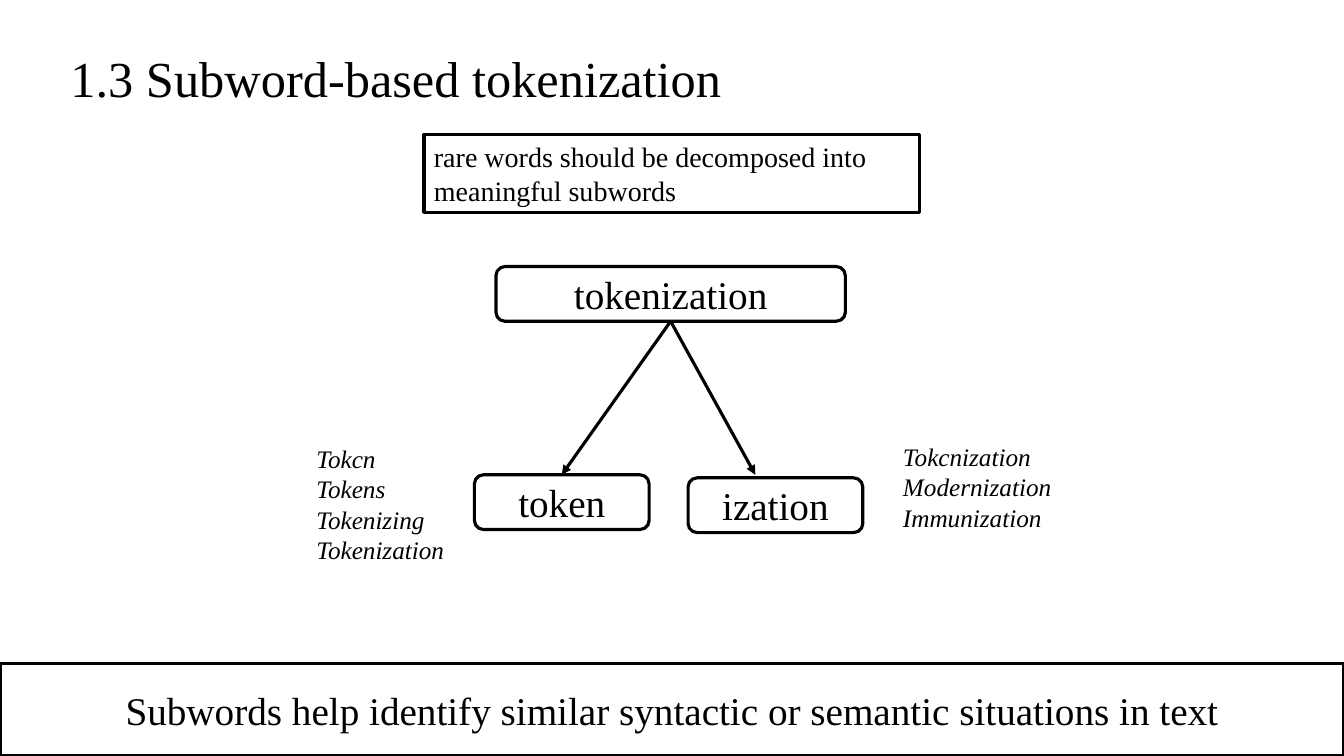
from lxml import etree
from pptx import Presentation
from pptx.dml.color import RGBColor
from pptx.enum.shapes import MSO_CONNECTOR, MSO_SHAPE
from pptx.enum.text import MSO_ANCHOR, MSO_AUTO_SIZE, PP_ALIGN
from pptx.oxml.ns import qn
from pptx.util import Inches, Pt

RECT = MSO_SHAPE.RECTANGLE
ROUNDED = MSO_SHAPE.ROUNDED_RECTANGLE
STRAIGHT = MSO_CONNECTOR.STRAIGHT
TOP, MIDDLE = MSO_ANCHOR.TOP, MSO_ANCHOR.MIDDLE
LEFT, CENTER = PP_ALIGN.LEFT, PP_ALIGN.CENTER
GROW = MSO_AUTO_SIZE.SHAPE_TO_FIT_TEXT

WIDTH, HEIGHT = Inches(13.33), Inches(7.5)
FONT = "Times New Roman"
BLACK = "000000"
LINE_WIDTH = Pt(2.25)
NODE_WIDTH, NODE_HEIGHT = 13, 7.25
TOKEN_TOP, IZATION_TOP = 62.8, 63.2


def color(value):
    return RGBColor.from_string(value)


def across(percent):
    return round(WIDTH * percent / 100)


def down(percent):
    return round(HEIGHT * percent / 100)


def place(x, y, w, h):
    return across(x), down(y), across(w), down(h)


def write(sp, lines, size, align=LEFT, anchor=TOP, italic=False):
    tf = sp.text_frame
    tf.word_wrap = True
    tf.vertical_anchor = anchor
    if anchor == TOP:
        tf.auto_size = GROW
    for i, line in enumerate(lines):
        p = tf.paragraphs[0] if i == 0 else tf.add_paragraph()
        p.alignment = align
        r = p.add_run()
        r.text = line
        r.font.name = FONT
        r.font.size = Pt(size)
        r.font.italic = italic
        r.font.color.rgb = color(BLACK)


def add_text(s, box, lines, size, italic=False):
    sp = s.shapes.add_textbox(*place(*box))
    write(sp, lines, size, italic=italic)


def add_box(s, kind, box, text, size=28, align=CENTER, anchor=MIDDLE):
    sp = s.shapes.add_shape(kind, *place(*box))
    sp.shadow.inherit = False
    sp.fill.background()
    sp.line.color.rgb = color(BLACK)
    sp.line.width = LINE_WIDTH
    write(sp, [text], size, align, anchor)


def add_arrow(s, start, end):
    cx = s.shapes.add_connector(
        STRAIGHT, across(start[0]), down(start[1]), across(end[0]), down(end[1])
    )
    cx.line.color.rgb = color(BLACK)
    cx.line.width = LINE_WIDTH
    ln = cx.line._get_or_add_ln()
    etree.SubElement(ln, qn("a:tailEnd"), type="triangle")
    etree.SubElement(cx._element.spPr, qn("a:effectLst"))


def main():
    prs = Presentation()
    prs.slide_width, prs.slide_height = WIDTH, HEIGHT
    s = prs.slides.add_slide(prs.slide_layouts[6])

    add_box(s, RECT, (0, 87.75, 100, 12.25),
            "Subwords help identify similar syntactic or semantic situations in text")

    add_box(s, ROUNDED, (36.9, 35.25, 2 * NODE_WIDTH, NODE_HEIGHT), "tokenization")
    split = (36.9 + NODE_WIDTH, 35.25 + NODE_HEIGHT)
    nodes = (
        ("token", 35.3, TOKEN_TOP, 41.8),
        ("ization", 51.2, IZATION_TOP, 56.2),
    )
    for text, x, y, tip in nodes:
        add_arrow(s, split, (tip, TOKEN_TOP))
        add_box(s, ROUNDED, (x, y, NODE_WIDTH, NODE_HEIGHT), text)

    add_text(s, (22.8, 58, NODE_WIDTH, 17.5),
             ["Tokcn", "Tokens", "Tokenizing", "Tokenization"], 18, italic=True)
    add_text(s, (66.45, 57.75, NODE_WIDTH, 13.5),
             ["Tokcnization", "Modernization", "Immunization"], 18, italic=True)

    add_text(s, (4.5, 5.6, 62.65, 9.5), ["1.3 Subword-based tokenization"], 36)
    add_box(s, RECT, (31.55, 17.8, 36.9, 10.3),
            "rare words should be decomposed into meaningful subwords", 20, LEFT, TOP)

    prs.save("out.pptx")


if __name__ == "__main__":
    main()
